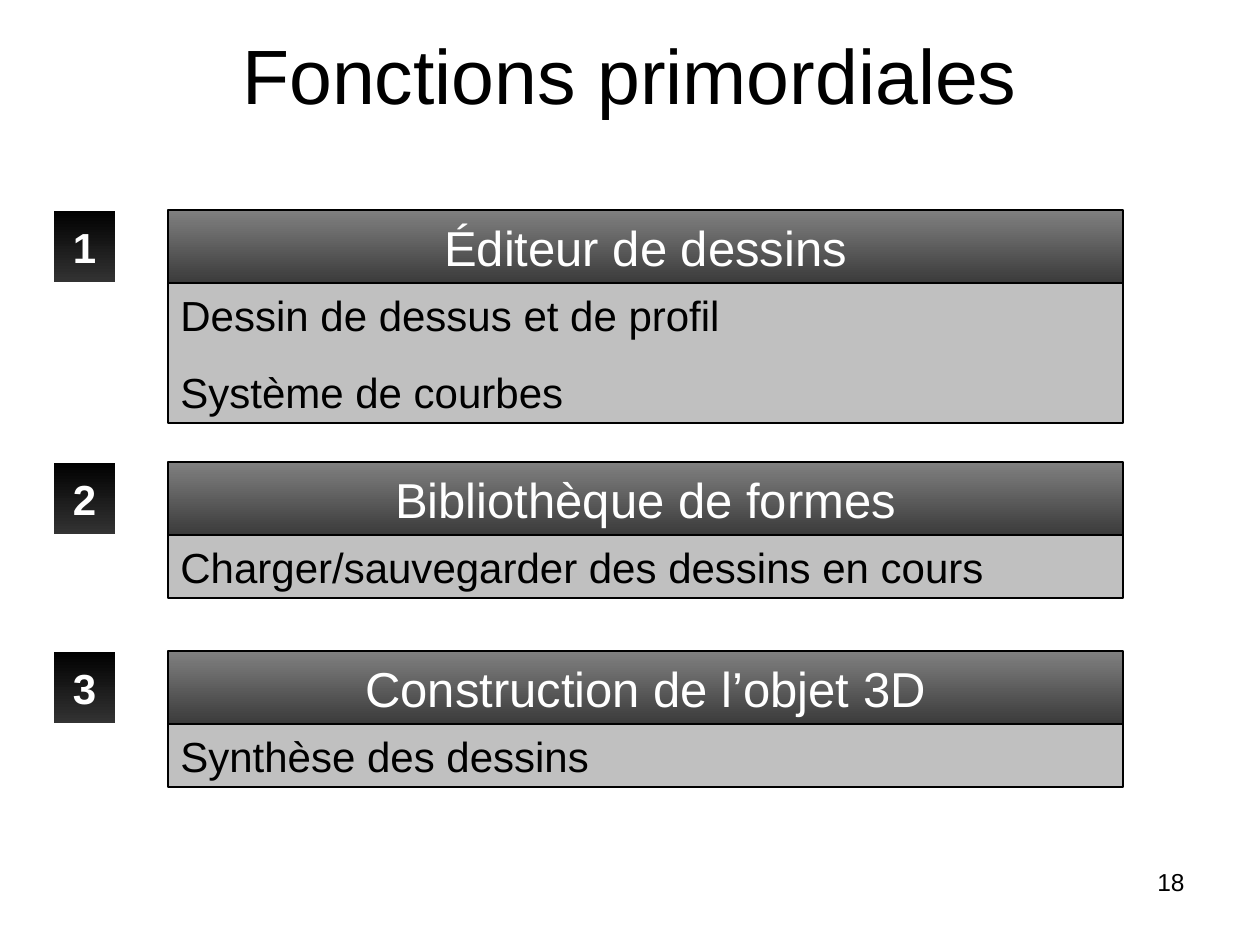
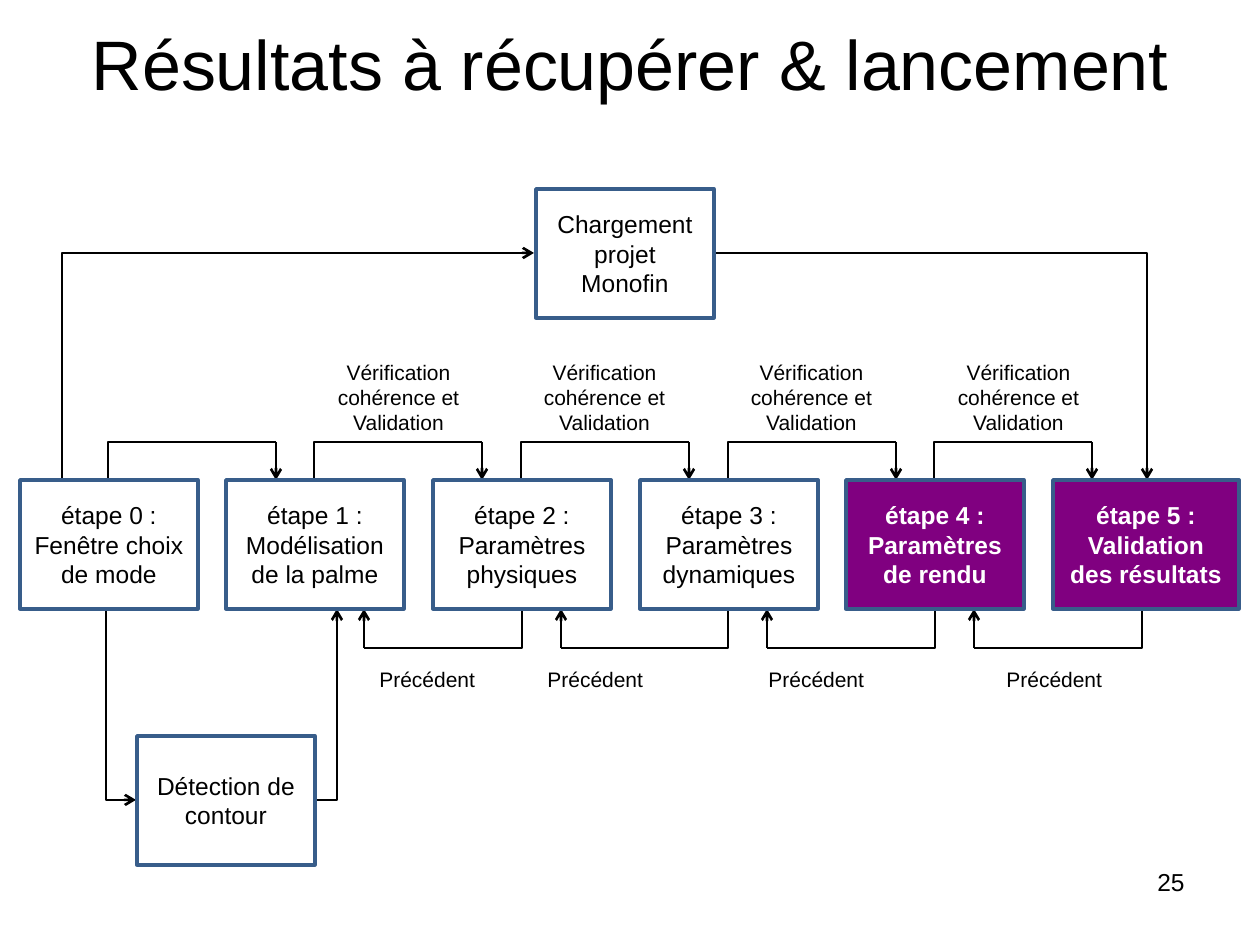
from lxml import etree
from pptx import Presentation
from pptx.dml.color import RGBColor
from pptx.enum import shapes, text
from pptx.oxml import ns
from pptx.util import Emu, Pt

PX = 914400 / 126
FONT = "Arial"
BLACK, WHITE, GREY = "000000", "FFFFFF", "C0C0C0"
PURPLE, BLUE = "800080", "385D8A"
HEADING_GRADIENT = ("808080", "3B3B3B")
BADGE_GRADIENT = (BLACK, "333333")
CENTER, LEFT, RIGHT = text.PP_ALIGN.CENTER, text.PP_ALIGN.LEFT, text.PP_ALIGN.RIGHT
TOP, MIDDLE = text.MSO_ANCHOR.TOP, text.MSO_ANCHOR.MIDDLE

FUNCTIONS = [
    (210, 140, "Éditeur de dessins", ["Dessin de dessus et de profil", "Système de courbes"]),
    (462, 63, "Bibliothèque de formes", ["Charger/sauvegarder des dessins en cours"]),
    (651, 63, "Construction de l’objet 3D", ["Synthèse des dessins"]),
]
STEPS = [
    ["étape 0 :", "Fenêtre choix de mode"],
    ["étape 1 : Modélisation de la palme"],
    ["étape 2 :", "Paramètres physiques"],
    ["étape 3 :", "Paramètres dynamiques"],
    ["étape 4 :", "Paramètres de rendu"],
    ["étape 5 :", "Validation des résultats"],
]
STEP_TOP, STEP_BOTTOM = 480, 609
BOX_W, BOX_H = 178, 129


def px(*lengths):
    """Turn px lengths into EMU."""
    return [Emu(round(n * PX)) for n in lengths]


def rgb(value):
    """Turn a hex string into a colour."""
    return RGBColor.from_string(value)


def column(x, i):
    """Shift x by i steps of the flow."""
    return x + i * 620 // 3


def write(sp, lines, size, color=BLACK, bold=False, align=CENTER, anchor=MIDDLE, wrap=True, gap=0):
    """Fill a shape with one paragraph for each line."""
    tf = sp.text_frame
    tf.word_wrap = wrap
    tf.vertical_anchor = anchor
    for i, line in enumerate(lines):
        p = tf.add_paragraph() if i else tf.paragraphs[0]
        p.alignment = align
        if i and gap:
            p.space_before = Pt(gap)
        r = p.add_run()
        r.text = line
        r.font.name = FONT
        r.font.size = Pt(size)
        r.font.bold = bold
        r.font.color.rgb = rgb(color)


def label(slide, box, line, size, align=CENTER, anchor=TOP):
    """Add a plain text box."""
    sp = slide.shapes.add_textbox(*px(*box))
    write(sp, [line], size, align=align, anchor=anchor)
    return sp


def rect(slide, box, fill, line=BLACK, width=0.75):
    """Add a rectangle with a plain or a vertical gradient fill."""
    sp = slide.shapes.add_shape(shapes.MSO_SHAPE.RECTANGLE, *px(*box))
    sp.shadow.inherit = False
    if isinstance(fill, tuple):
        sp.fill.gradient()
        sp.fill.gradient_angle = 270
        for stop, color in zip(sp.fill.gradient_stops, fill):
            stop.color.rgb = rgb(color)
    else:
        sp.fill.solid()
        sp.fill.fore_color.rgb = rgb(fill)
    sp.line.color.rgb = rgb(line)
    sp.line.width = Pt(width)
    return sp


def connect(slide, begin, end, arrow=None, bent=False):
    """Join two points; a bent line leaves begin sideways, arrow is headEnd or tailEnd."""
    sp = slide.shapes.add_connector(shapes.MSO_CONNECTOR.STRAIGHT, *px(*begin, *end))
    sp.line.color.rgb = rgb(BLACK)
    sp.line.width = Pt(1.5)
    props = sp._element.spPr
    if bent:
        props.find(ns.qn("a:prstGeom")).set("prst", "bentConnector2")
    if arrow:
        etree.SubElement(props.find(ns.qn("a:ln")), ns.qn(f"a:{arrow}"), type="arrow")
    etree.SubElement(props, ns.qn("a:effectLst"))


def new_slide(prs, title, size, title_height, number):
    """Add a blank slide with its title and page number."""
    slide = prs.slides.add_slide(prs.slide_layouts[6])
    sp = label(slide, (63, 0, 1134, title_height), title, size, anchor=MIDDLE)
    sp.text_frame.margin_left = sp.text_frame.margin_right = 0
    label(slide, (903, 861, 294, 66), number, 14, align=RIGHT)
    return slide


def function_block(slide, number, top, body_height, heading, lines):
    """Add a numbered heading with its body below."""
    badge = rect(slide, (53, top, 63, 73), BADGE_GRADIENT, WHITE)
    write(badge, [number], 24, WHITE, bold=True, wrap=False)
    bar = rect(slide, (168, top, 955, 73), HEADING_GRADIENT)
    write(bar, [heading], 28, WHITE)
    body = rect(slide, (168, top + 73, 955, body_height), GREY)
    write(body, lines, 24, align=LEFT, gap=15)


def flow_box(slide, left, top, lines, width=BOX_W, active=False):
    """Add one box of the flow."""
    sp = rect(slide, (left, top, width, BOX_H), PURPLE if active else WHITE, BLUE, 2)
    write(sp, lines, 14, WHITE if active else BLACK, bold=active)


def hop(slide, start, rail, land, edge):
    """Leave a box edge, follow the rail and come back to the edge with an arrow."""
    connect(slide, (land, rail), (start, edge), bent=True)
    connect(slide, (land, rail), (land, edge), "tailEnd")


def forward_links(slide):
    """Add the links to the next step and their checks."""
    for i in range(5):
        land = 1092 if i == 4 else column(276, i)
        hop(slide, column(108, i), 442, land, STEP_TOP)
    for i in range(4):
        label(slide, (column(295, i), 353, 207, 88), "Vérification cohérence et Validation", 12)


def back_links(slide):
    """Add the links to the previous step."""
    for i, (land, left) in enumerate([(364, 367), (561, 535), (767, 756), (974, 994)]):
        hop(slide, column(522, i), 648, land, STEP_BOTTOM)
        label(slide, (left, 660, 135, 38), "Précédent", 12, align=LEFT)


def side_boxes(slide):
    """Add the loading and contour boxes with their links."""
    connect(slide, (534, 253), (62, STEP_TOP), "headEnd", bent=True)
    connect(slide, (714, 253), (1147, STEP_TOP), "tailEnd", bent=True)
    connect(slide, (136, 800), (106, STEP_BOTTOM), "headEnd", bent=True)
    connect(slide, (316, 800), (337, STEP_BOTTOM), "tailEnd", bent=True)
    flow_box(slide, 536, 189, ["Chargement projet Monofin"])
    flow_box(slide, 137, 736, ["Détection de contour"])


def functions_slide(prs):
    """Build the list of main functions."""
    slide = new_slide(prs, "Fonctions primordiales", 44, 147, "18")
    for number, block in enumerate(FUNCTIONS, 1):
        function_block(slide, str(number), *block)


def results_slide(prs):
    """Build the flow of steps."""
    slide = new_slide(prs, "Résultats à récupérer & lancement", 40, 126, "25")
    forward_links(slide)
    back_links(slide)
    side_boxes(slide)
    for i, lines in enumerate(STEPS):
        width = 186 if i == 5 else BOX_W
        flow_box(slide, column(20, i), STEP_TOP, lines, width, active=i > 3)


def main():
    """Build and save the slides."""
    prs = Presentation()
    prs.slide_width, prs.slide_height = px(1260, 945)
    functions_slide(prs)
    results_slide(prs)
    prs.save("out.pptx")


if __name__ == "__main__":
    main()
